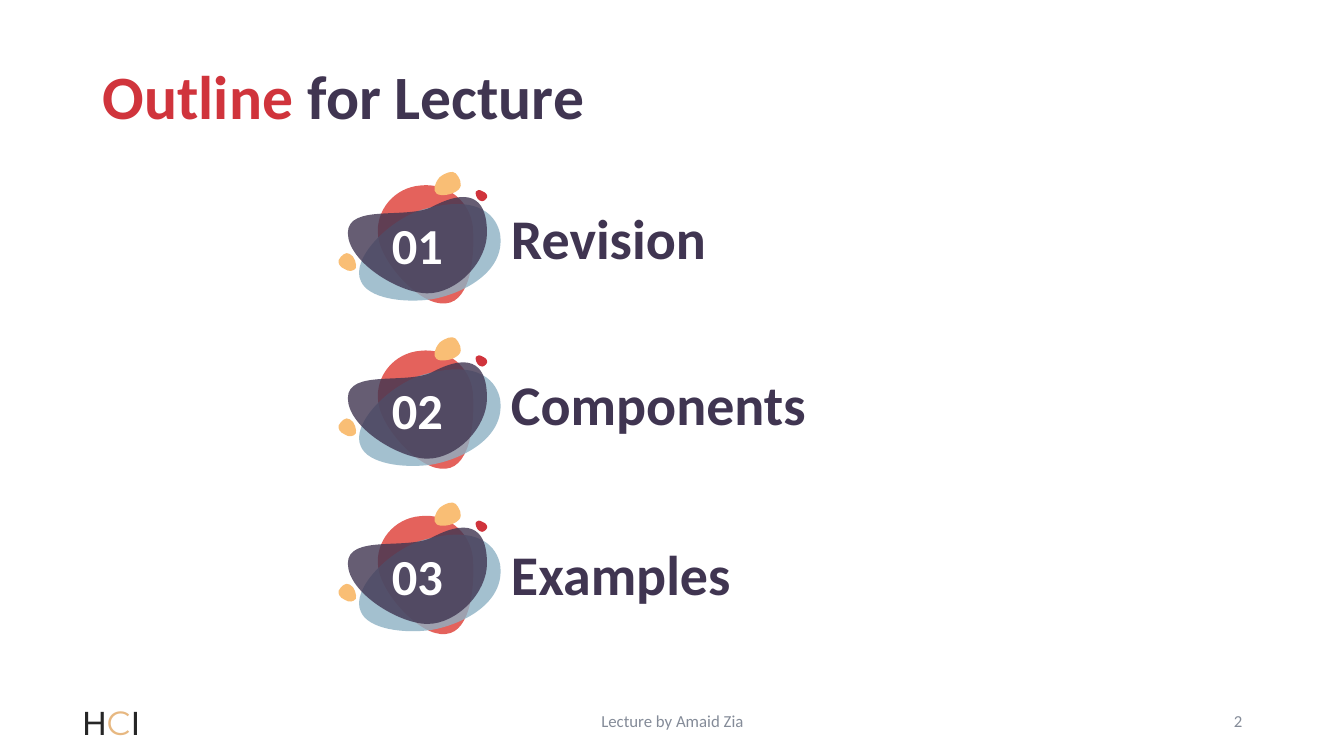
import pptx
import pptx.util
import pptx.dml.color
import pptx.enum.text
import pptx.oxml.ns
import lxml.etree

Inches = pptx.util.Inches
RGBColor = pptx.dml.color.RGBColor
PP_ALIGN = pptx.enum.text.PP_ALIGN
MSO_ANCHOR = pptx.enum.text.MSO_ANCHOR
qn = pptx.oxml.ns.qn

RED = RGBColor(0xD0, 0x34, 0x3C)
CORAL = RGBColor(0xE4, 0x62, 0x5C)
BLUE = RGBColor(0x8D, 0xB1, 0xC4)
PLUM = RGBColor(0x40, 0x35, 0x51)
AMBER = RGBColor(0xF9, 0xBE, 0x75)
SAND = RGBColor(0xE7, 0xB8, 0x81)
GRAY = RGBColor(0x84, 0x8B, 0x98)
BLACK = RGBColor(0x26, 0x26, 0x26)
WHITE = RGBColor(0xFF, 0xFF, 0xFF)

BADGE_STEP = 1.64

# Each blob of the first badge: colour, opacity in percent, box (left, top,
# width, height), then four Bezier segments of two control points and an end
# point. The outline is closed, so it starts where the last segment ends.
BLOBS = [
    (CORAL, 100, (3.74, 1.84, 0.95, 1.18), [
        (3.77, 2.59, 4.16, 3.04, 4.42, 3.01), (4.68, 2.99, 4.71, 2.50, 4.69, 2.25),
        (4.66, 1.99, 4.43, 1.81, 4.17, 1.84), (3.91, 1.86, 3.72, 2.09, 3.75, 2.34)]),
    (BLUE, 80, (3.56, 2.03, 1.41, 0.96), [
        (3.65, 2.96, 4.00, 3.01, 4.28, 2.97), (4.57, 2.92, 5.02, 2.71, 4.96, 2.32),
        (4.93, 2.17, 4.78, 1.91, 4.19, 2.08), (3.86, 2.18, 3.47, 2.57, 3.58, 2.79)]),
    (PLUM, 80, (3.45, 1.95, 1.38, 0.95), [
        (3.45, 2.60, 3.96, 2.91, 4.24, 2.91), (4.53, 2.91, 4.83, 2.60, 4.83, 2.31),
        (4.83, 2.02, 4.71, 1.83, 4.29, 2.05), (4.04, 2.18, 3.45, 2.02, 3.45, 2.31)]),
    (AMBER, 100, (4.31, 1.70, 0.26, 0.23), [
        (4.36, 1.95, 4.49, 1.94, 4.55, 1.88), (4.60, 1.83, 4.55, 1.75, 4.52, 1.72),
        (4.49, 1.69, 4.42, 1.71, 4.36, 1.76), (4.31, 1.82, 4.29, 1.89, 4.33, 1.92)]),
    (AMBER, 100, (3.36, 2.51, 0.17, 0.18), [
        (3.54, 2.63, 3.52, 2.54, 3.47, 2.52), (3.43, 2.49, 3.38, 2.54, 3.36, 2.58),
        (3.35, 2.61, 3.37, 2.65, 3.42, 2.67), (3.46, 2.70, 3.51, 2.69, 3.53, 2.66)]),
    (RED, 100, (4.71, 1.88, 0.12, 0.11), [
        (4.71, 1.92, 4.73, 1.98, 4.76, 1.99), (4.79, 2.01, 4.82, 1.98, 4.83, 1.96),
        (4.84, 1.94, 4.82, 1.91, 4.79, 1.90), (4.76, 1.88, 4.73, 1.88, 4.72, 1.90)]),
]


def write_text(sp, runs, size, align=PP_ALIGN.LEFT, anchor=MSO_ANCHOR.MIDDLE,
               bold=False, insets=(0.1, 0.05, 0.1, 0.05)):
    """Fill a shape with one paragraph of (text, font, colour) runs."""
    tf = sp.text_frame
    left, top, right, bottom = (Inches(inset) for inset in insets)
    frame_format = {"word_wrap": True, "vertical_anchor": anchor, "margin_left": left,
                    "margin_top": top, "margin_right": right, "margin_bottom": bottom}
    for name, value in frame_format.items():
        setattr(tf, name, value)
    p = tf.paragraphs[0]
    p.alignment = align
    for text, font, color in runs:
        r = p.add_run()
        r.text = text
        for name, value in {"name": font, "size": pptx.util.Pt(size), "bold": bold}.items():
            setattr(r.font, name, value)
        r.font.color.rgb = color
    return p


def add_blob(shapes, color, opacity, box, curves, dy):
    """Draw a closed curved outline, moved down by dy inches."""
    left, top, width, height = box
    x, y, w, h = map(Inches, (left, top + dy, width, height))
    builder = shapes.build_freeform(x, y)
    builder.add_line_segments([(x + w, y), (x + w, y + h), (x, y + h)], close=True)
    sp = builder.convert_to_shape()

    # Swap the straight sides of the box for Bezier segments.
    outline = sp.element.find(".//" + qn("a:path"))
    for side in list(outline):
        outline.remove(side)
    segments = [("a:moveTo", curves[-1][4:])] + [("a:cubicBezTo", c) for c in curves]
    for tag, coords in segments:
        segment = lxml.etree.SubElement(outline, qn(tag))
        for px, py in zip(coords[::2], coords[1::2]):
            pt = lxml.etree.SubElement(segment, qn("a:pt"))
            pt.set("x", str(Inches(px - left)))
            pt.set("y", str(Inches(py - top)))
    lxml.etree.SubElement(outline, qn("a:close"))

    sp.shadow.inherit = False
    sp.line.fill.background()
    sp.fill.solid()
    sp.fill.fore_color.rgb = color
    if opacity < 100:
        clr = sp.element.spPr.find(qn("a:solidFill")).find(qn("a:srgbClr"))
        lxml.etree.SubElement(clr, qn("a:alpha")).set("val", str(opacity * 1000))
    return sp


prs = pptx.Presentation()
prs.slide_width, prs.slide_height = Inches(13.33), Inches(7.5)
s = prs.slides.add_slide(prs.slide_layouts[5])

title = s.shapes.title
title.left, title.top, title.width, title.height = map(Inches, (0.92, 0.37, 11.5, 1.24))
p = write_text(title, [("Outline ", "Calibri", RED), ("for Lecture", "Calibri", PLUM)],
               44, bold=True)
p.line_spacing = 0.9

topics = [("Revision", 1.81), ("Components", 3.45), ("Examples", 5.14)]
for i, (topic, label_top) in enumerate(topics):
    badge = s.shapes.add_group_shape()
    for color, opacity, box, curves in BLOBS:
        sp = add_blob(badge.shapes, color, opacity, box, curves, i * BADGE_STEP)
        if color == PLUM:
            write_text(sp, [(f"{i + 1:02}", "Calibri", WHITE)], 36, PP_ALIGN.CENTER,
                       bold=True, insets=(0.04,) * 4)
    label = s.shapes.add_textbox(*map(Inches, (4.97, label_top, 3.26, 0.88)))
    write_text(label, [(topic, "Calibri", PLUM)], 40, anchor=MSO_ANCHOR.BOTTOM,
               bold=True, insets=(0.1, 0.2, 0.1, 0))

course = [("H", "Arial", BLACK), ("C", "Montserrat", SAND), ("I", "Arial", BLACK)]
footers = [
    (0.72, 6.96, 3, course, 24, PP_ALIGN.LEFT),
    (4.42, 6.95, 4.5, [("Lecture by Amaid Zia", "Calibri", GRAY)], 12, PP_ALIGN.CENTER),
    (9.42, 6.95, 3, [("2", "Calibri", GRAY)], 12, PP_ALIGN.RIGHT),
]
for left, top, width, runs, size, align in footers:
    box = s.shapes.add_textbox(*map(Inches, (left, top, width, 0.4)))
    write_text(box, runs, size, align)

prs.save("out.pptx")
